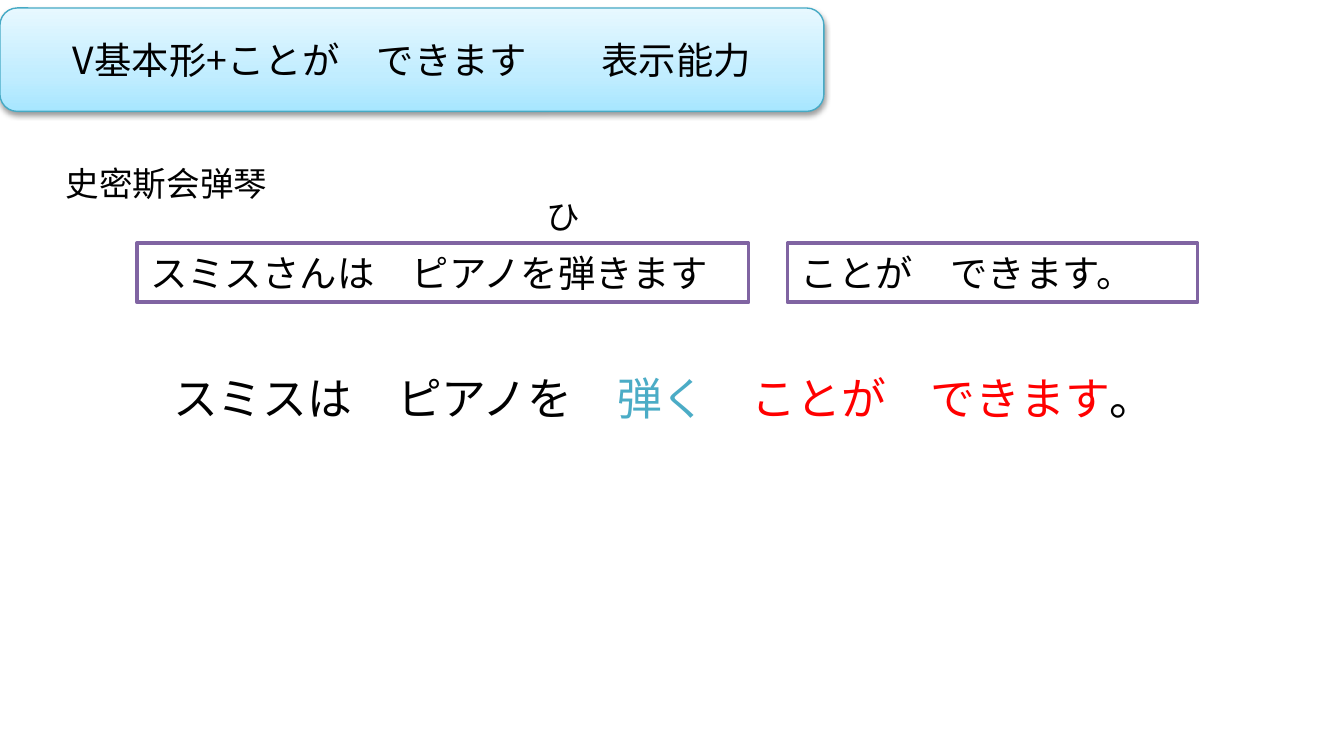
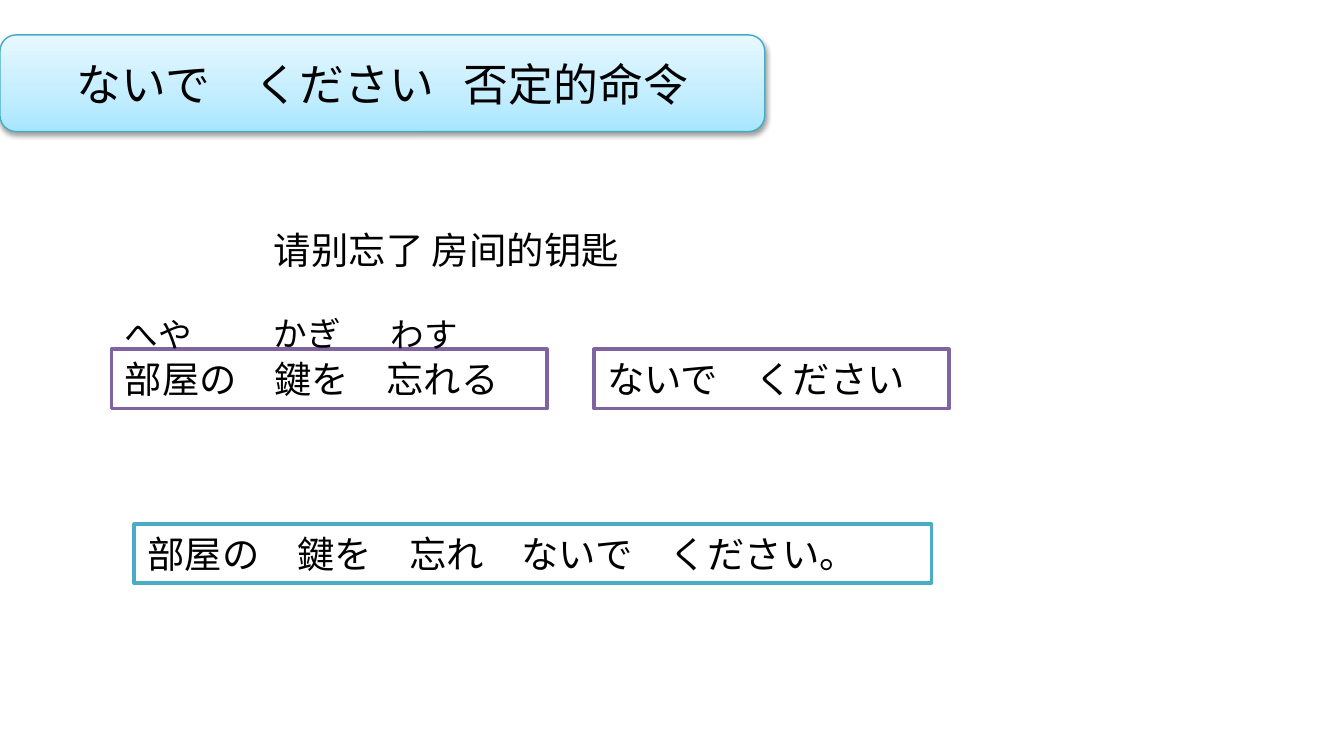
import copy
from dataclasses import dataclass

import lxml.etree
import pptx
import pptx.dml.color
import pptx.enum.shapes
import pptx.enum.text
import pptx.oxml.ns
import pptx.util

Pt = pptx.util.Pt
qn = pptx.oxml.ns.qn


@dataclass(frozen=True)
class Theme:
    """Colours, fonts and sizes shared by the grammar slides."""
    ink: str = "000000"
    paper: str = "FFFFFF"
    purple: str = "8064A2"
    aqua: str = "4BACC6"
    red: str = "FF0000"
    banner_line: str = "46AAC5"
    banner_stops: tuple = ((0, "A7E6FF"), (0.35, "C1EDFF"), (1, "E7F8FF"))
    latin: str = "Calibri"
    asian: str = "Noto Sans CJK SC"
    large: int = 24
    body: int = 20
    small: int = 18
    card_height: float = 31.7
    note_height: float = 28.8


THEME = Theme()
SHAPES = pptx.enum.shapes.MSO_SHAPE


def rgb(value):
    """Turn a hex string into a colour."""
    return pptx.dml.color.RGBColor.from_string(value)


def write(shape, runs, size, font=THEME.asian, centred=False):
    """Write one paragraph of (text, colour) runs, or a plain black string."""
    frame = shape.text_frame
    frame.word_wrap = True
    frame.vertical_anchor = (pptx.enum.text.MSO_ANCHOR.MIDDLE if centred
                             else pptx.enum.text.MSO_ANCHOR.TOP)
    paragraph = frame.paragraphs[0]
    paragraph.alignment = (pptx.enum.text.PP_ALIGN.CENTER if centred
                           else pptx.enum.text.PP_ALIGN.LEFT)
    paragraph.font.size = Pt(size)
    paragraph.font.name = font
    properties = paragraph.font._rPr
    lxml.etree.SubElement(properties, qn("a:ea"), typeface=THEME.asian)
    if isinstance(runs, str):
        runs = [(runs, THEME.ink)]
    for text, colour in runs:
        run = paragraph.add_run()
        run.text = text
        run.font.color.rgb = rgb(colour)


def add_box(slide, kind, box, line, width):
    """Add an outlined preset shape without the default shadow."""
    shape = slide.shapes.add_shape(kind, *map(Pt, box))
    shape.shadow.inherit = False
    shape.line.color.rgb = rgb(line)
    shape.line.width = Pt(width)
    return shape


def add_banner(slide, box, text, size):
    """Add the shaded title banner."""
    shape = add_box(slide, SHAPES.ROUNDED_RECTANGLE, box, THEME.banner_line, 0.75)
    shape.fill.gradient()
    shape.fill.gradient_angle = 90
    last = shape.fill.gradient_stops[1]._gs
    last.addnext(copy.deepcopy(last))
    for stop, (position, colour) in zip(shape.fill.gradient_stops, THEME.banner_stops):
        stop.position = position
        stop.color.rgb = rgb(colour)
    effects = shape._element.spPr.find(qn("a:effectLst"))
    shadow = lxml.etree.SubElement(
        effects, qn("a:outerShdw"), blurRad=str(Pt(3.1)), dist=str(Pt(1.6)),
        dir="5400000", rotWithShape="0")
    black = lxml.etree.SubElement(shadow, qn("a:srgbClr"), val=THEME.ink)
    lxml.etree.SubElement(black, qn("a:alpha"), val="38000")
    write(shape, text, size, centred=True)


def add_card(slide, left, top, width, text, line=THEME.purple):
    """Add a white outlined card holding part of a sentence."""
    box = (left, top, width, THEME.card_height)
    shape = add_box(slide, SHAPES.RECTANGLE, box, line, 2)
    shape.fill.solid()
    shape.fill.fore_color.rgb = rgb(THEME.paper)
    write(shape, text, THEME.body)


def add_note(slide, box, text, size=THEME.small, font=THEME.asian):
    """Add a plain line of text."""
    write(slide.shapes.add_textbox(*map(Pt, box)), text, size, font)


def add_pattern(slide, left, top, cards, readings):
    """Add a row of cards as (offset, width, text), with readings above them."""
    for offset, width, text in cards:
        add_card(slide, left + offset, top, width, text)
    for offset, rise, width, text in readings:
        box = (left + offset, top - rise, width, THEME.note_height)
        add_note(slide, box, text, font=THEME.latin)


def build_ability(slide):
    """Build the slide on expressing ability."""
    add_banner(slide, (0, 4.3, 441.4, 55.4), "V基本形+ことが　できます　　表示能力", THEME.body)
    add_note(slide, (28.1, 83.5, 197.3, THEME.note_height), "史密斯会弹琴")
    add_pattern(slide, 73.4, 130.3,
                [(0, 327.6, "スミスさんは　ピアノを弾きます"),
                 (348.5, 219.6, "ことが　できます。")],
                [(212.4, 28.8, 49.7, "ひ")])
    add_note(slide, (85.7, 195.1, 540.7, 36),
             [("スミスは　ピアノを　", THEME.ink), ("弾く　", THEME.aqua),
              ("ことが　できます", THEME.red), ("。", THEME.ink)],
             THEME.large, THEME.latin)


def build_prohibition(slide):
    """Build the slide on negative commands."""
    add_banner(slide, (0, 18.7, 409.7, 51.8), "ないで　ください   否定的命令", THEME.large)
    add_note(slide, (139.7, 118.1, 247.7, THEME.card_height), "请别忘了 房间的钥匙", THEME.body)
    add_pattern(slide, 59.8, 187.2,
                [(0, 233.3, "部屋の　鍵を　忘れる"),
                 (258.4, 190.1, "ないで　ください")],
                [(0, 22.3, 58.3, "へや"), (79.9, 23, 61.9, "かぎ"),
                 (142.5, 22.3, 54.7, "わす")])
    add_card(slide, 72, 280.8, 427, "部屋の　鍵を　忘れ　ないで　ください。", THEME.aqua)


def main():
    """Build and save the presentation."""
    presentation = pptx.Presentation()
    presentation.slide_width, presentation.slide_height = Pt(720), Pt(405)
    for build in (build_ability, build_prohibition):
        build(presentation.slides.add_slide(presentation.slide_layouts[6]))
    presentation.save("out.pptx")


if __name__ == "__main__":
    main()
